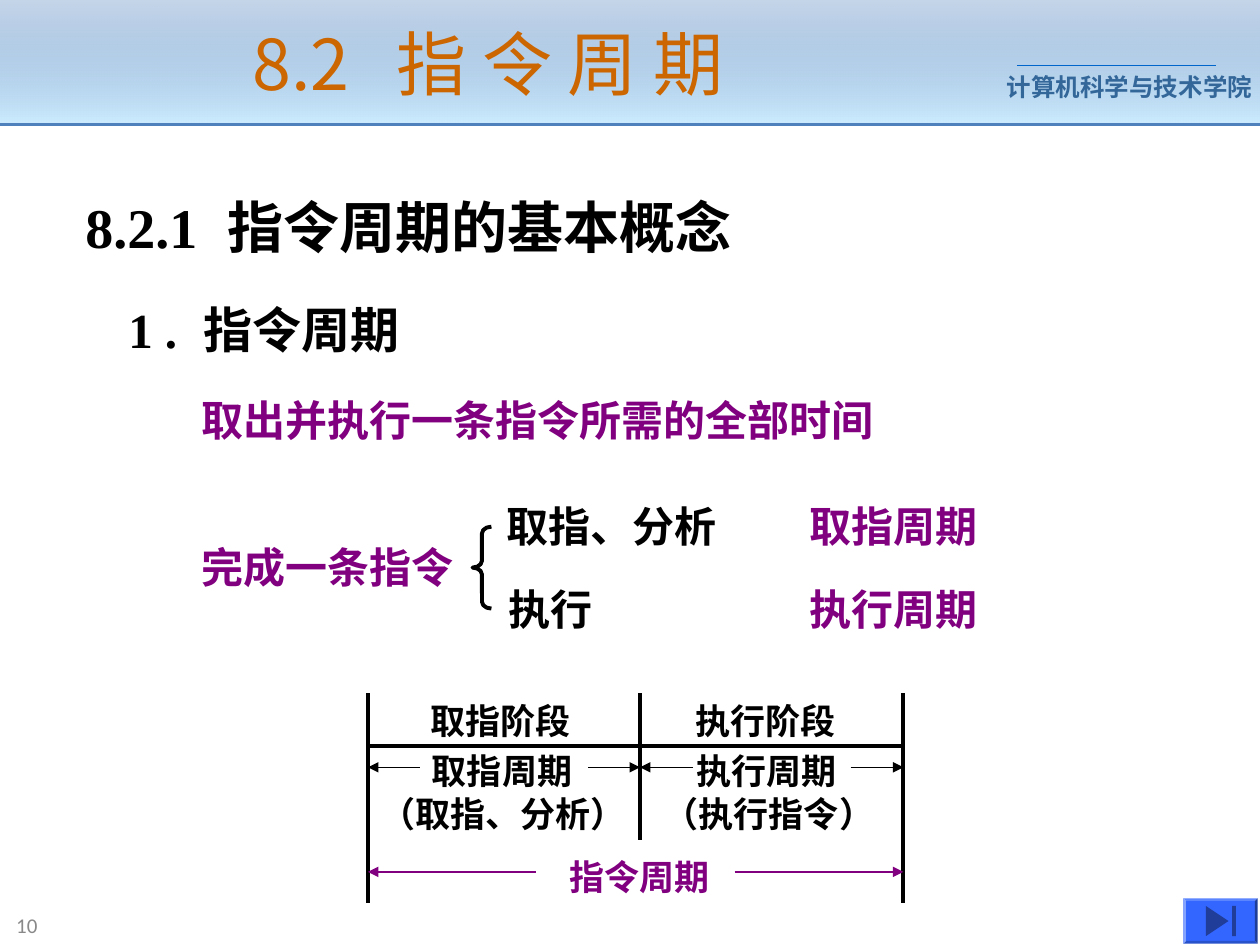
from lxml import etree
from pptx import Presentation
from pptx import util as u
from pptx.dml import color as dml
from pptx.enum import shapes, text
from pptx.oxml import ns

In = u.Inches
BLACK, PURPLE, BLUE = "000000", "800080", "3366FF"
SANS, SERIF = "Noto Sans CJK SC", "Times New Roman"


def rgb(hex_value):
    return dml.RGBColor.from_string(hex_value)


def write(shape, words, size=24, color=BLACK, font=SERIF, bold=True, wrap=True,
          number=None, gap=0, align=text.PP_ALIGN.LEFT,
          anchor=text.MSO_ANCHOR.TOP):
    """Fill a shape with one line; gap widens the space after its number by points."""
    frame = shape.text_frame
    frame.word_wrap = wrap
    frame.vertical_anchor = anchor
    line = frame.paragraphs[0]
    line.alignment = align
    for part in ([number, " ", words] if number else [words]):
        run = line.add_run()
        run.text = part
        run.font.size = u.Pt(size)
        run.font.bold = bold
        run.font.name = font
        run.font.color.rgb = rgb(color)
        props = run._r.get_or_add_rPr()
        etree.SubElement(props, ns.qn("a:ea")).set("typeface", SANS)
        if part == " ":
            props.set("spc", str(gap * 100))


prs = Presentation()
prs.slide_width, prs.slide_height = In(10), In(7.5)
slide = prs.slides.add_slide(prs.slide_layouts[5])

# Header band and title
band = slide.shapes.add_shape(shapes.MSO_SHAPE.RECTANGLE, 0, 0, In(10), In(0.99))
band.shadow.inherit = False
band.line.fill.background()
band.fill.gradient()
band.fill.gradient_angle = 270
top_stop, bottom_stop = band.fill.gradient_stops
top_stop.position, bottom_stop.position = 0, 1
top_stop.color.rgb, bottom_stop.color.rgb = rgb("4F81BD"), rgb("CCECFF")
top_color = band._element.spPr.find(".//" + ns.qn("a:srgbClr"))
etree.SubElement(top_color, ns.qn("a:alpha")).set("val", "32000")

title = slide.shapes.title
slide.shapes._spTree.append(title._element)  # bring in front of the band
title.left, title.top, title.width, title.height = In(0.35), 0, In(7.17), In(0.99)
write(title, "指 令 周 期 ", size=40, color="CC6600", font=SANS, bold=False,
      number="8.2", gap=18, align=text.PP_ALIGN.CENTER,
      anchor=text.MSO_ANCHOR.MIDDLE)

college = slide.shapes.add_textbox(In(7.99), In(0.52), In(1.97), In(0.34))
college.text_frame.margin_left = college.text_frame.margin_right = 0
write(college, "计算机科学与技术学院", size=14, color="336699", font="Arial")

page = slide.shapes.add_textbox(In(0.03), In(7.18), In(2.21), In(0.32))
write(page, "10", size=12, color="898989", font="Calibri", bold=False,
      anchor=text.MSO_ANCHOR.MIDDLE)

# Headings, definition and the two parts of an instruction
statements = [
    (0.58, 1.48, 6.25, 0.64, "指令周期的基本概念", dict(size=32, number="8.2.1", gap=9)),
    (0.92, 2.33, 6.25, 0.57, "指令周期", dict(size=28, number="1 .", gap=8)),
    (1.5, 3.08, 6.25, 0.5, "取出并执行一条指令所需的全部时间", dict(color=PURPLE)),
    (1.5, 4.25, 3, 0.5, "完成一条指令", dict(color=PURPLE)),
    (3.92, 3.92, 2.17, 0.5, "取指、分析", {}),
    (3.94, 4.58, 1.72, 0.5, "执行", {}),
    (6.33, 3.92, 1.83, 0.5, "取指周期", dict(color=PURPLE)),
    (6.33, 4.58, 2, 0.5, "执行周期", dict(color=PURPLE)),
]
for x, y, w, h, words, style in statements:
    write(slide.shapes.add_textbox(In(x), In(y), In(w), In(h)), words, **style)

brace = slide.shapes.add_shape(shapes.MSO_SHAPE.LEFT_BRACE,
                               In(3.75), In(4.18), In(0.15), In(0.65))
brace.shadow.inherit = False
brace.adjustments[0] = 0.36
brace.fill.background()
brace.line.color.rgb = rgb(BLACK)
brace.line.width = u.Pt(2.25)

# Timing diagram
timing = slide.shapes.add_group_shape().shapes
phases = [
    (3.32, 5.5, 1.31, "取指阶段", BLACK),
    (3.33, 5.9, 1.31, "取指周期", BLACK),
    (2.92, 6.24, 2.15, "（取指、分析）", BLACK),
    (5.42, 5.5, 1.31, "执行阶段", BLACK),
    (5.43, 5.9, 1.31, "执行周期", BLACK),
    (5.17, 6.24, 1.87, "（执行指令）", BLACK),
    (4.42, 6.74, 1.31, "指令周期", PURPLE),
]
for x, y, w, words, color in phases:
    write(timing.add_textbox(In(x), In(y), In(w), In(0.44)), words,
          size=20, color=color, wrap=False)

start, middle, end = 2.92, 5.08, 7.17
strokes = [
    (slide.shapes, 8.07, 0.52, 9.65, 0.52, "0066CC", 0.75, False),
    (slide.shapes, 0, 0.99, 10, 0.99, "4F81BD", 1.5, False),
    (timing, start, 5.92, end, 5.92, BLACK, 2.25, False),
]
for x, bottom in [(start, 7.17), (middle, 6.67), (end, 7.17)]:
    strokes.append((timing, x, 5.5, x, bottom, BLACK, 2.25, False))
for tail, tip, y, color in [(3.33, start, 6.09, BLACK), (4.67, middle, 6.09, BLACK),
                            (5.5, middle, 6.09, BLACK), (6.75, end, 6.09, BLACK),
                            (4.25, start, 6.92, PURPLE), (5.83, end, 6.92, PURPLE)]:
    strokes.append((timing, tail, y, tip, y, color, 0.75, True))

for holder, x1, y1, x2, y2, color, width, arrow in strokes:
    stroke = holder.add_connector(shapes.MSO_CONNECTOR.STRAIGHT,
                                  In(x1), In(y1), In(x2), In(y2))
    stroke.line.color.rgb = rgb(color)
    stroke.line.width = u.Pt(width)
    if arrow:
        etree.SubElement(stroke.line._get_or_add_ln(),
                         ns.qn("a:tailEnd")).set("type", "triangle")
    etree.SubElement(stroke._element.spPr, ns.qn("a:effectLst"))

# Forward button: bevelled face, triangle and bar
button_parts = [
    (shapes.MSO_SHAPE.BEVEL, 9.39, 7.13, 0.59, 0.36, BLUE, 0),
    (shapes.MSO_SHAPE.ISOSCELES_TRIANGLE, 9.54, 7.22, 0.24, 0.18, "1F3D99", 90),
    (shapes.MSO_SHAPE.RECTANGLE, 9.78, 7.19, 0.03, 0.24, "1F3D99", 0),
]
for kind, x, y, w, h, color, turn in button_parts:
    part = slide.shapes.add_shape(kind, In(x), In(y), In(w), In(h))
    part.shadow.inherit = False
    part.rotation = turn
    part.fill.solid()
    part.fill.fore_color.rgb = rgb(color)
    part.line.fill.background()
    if kind == shapes.MSO_SHAPE.BEVEL:
        part.adjustments[0] = 0.06

prs.save("out.pptx")
